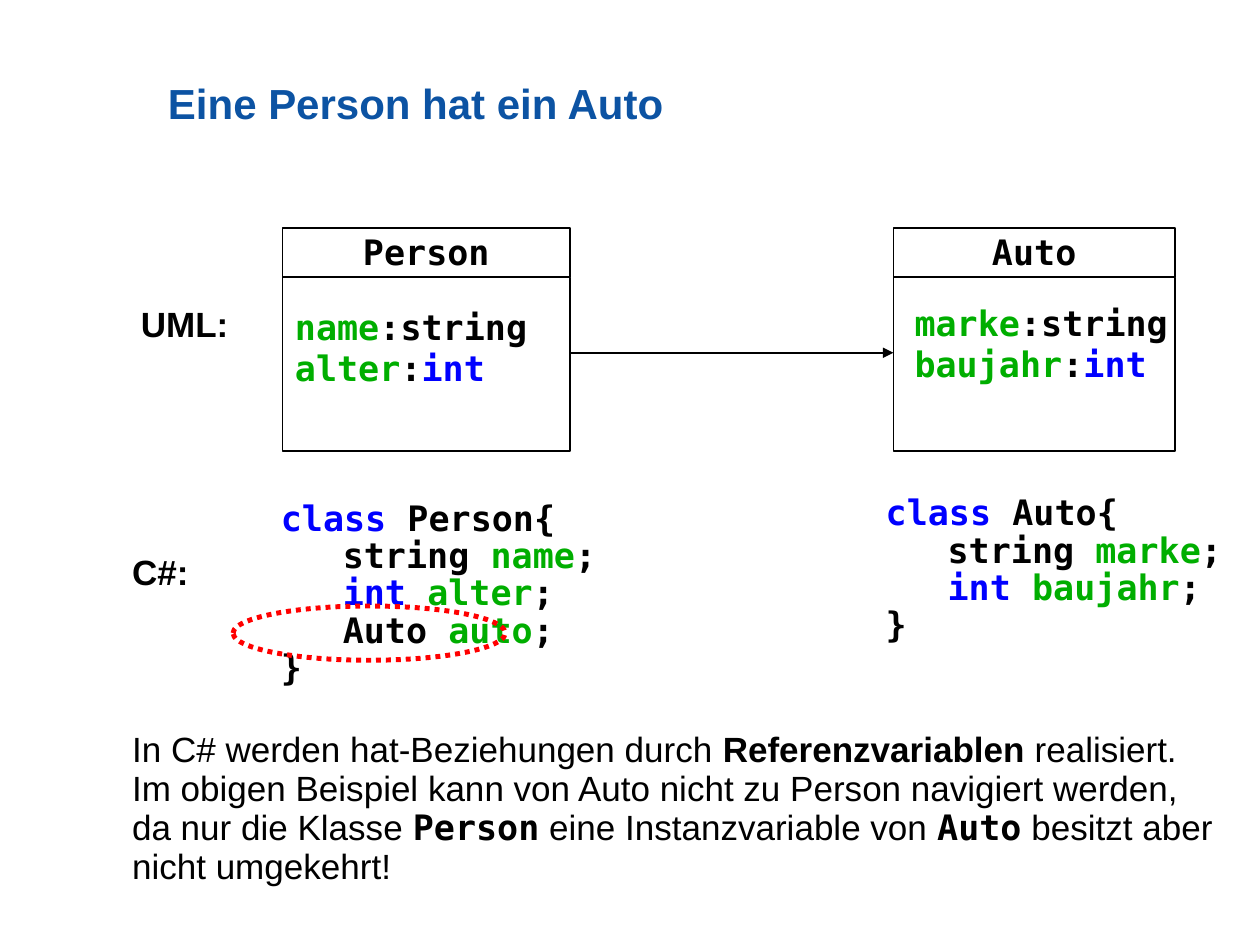
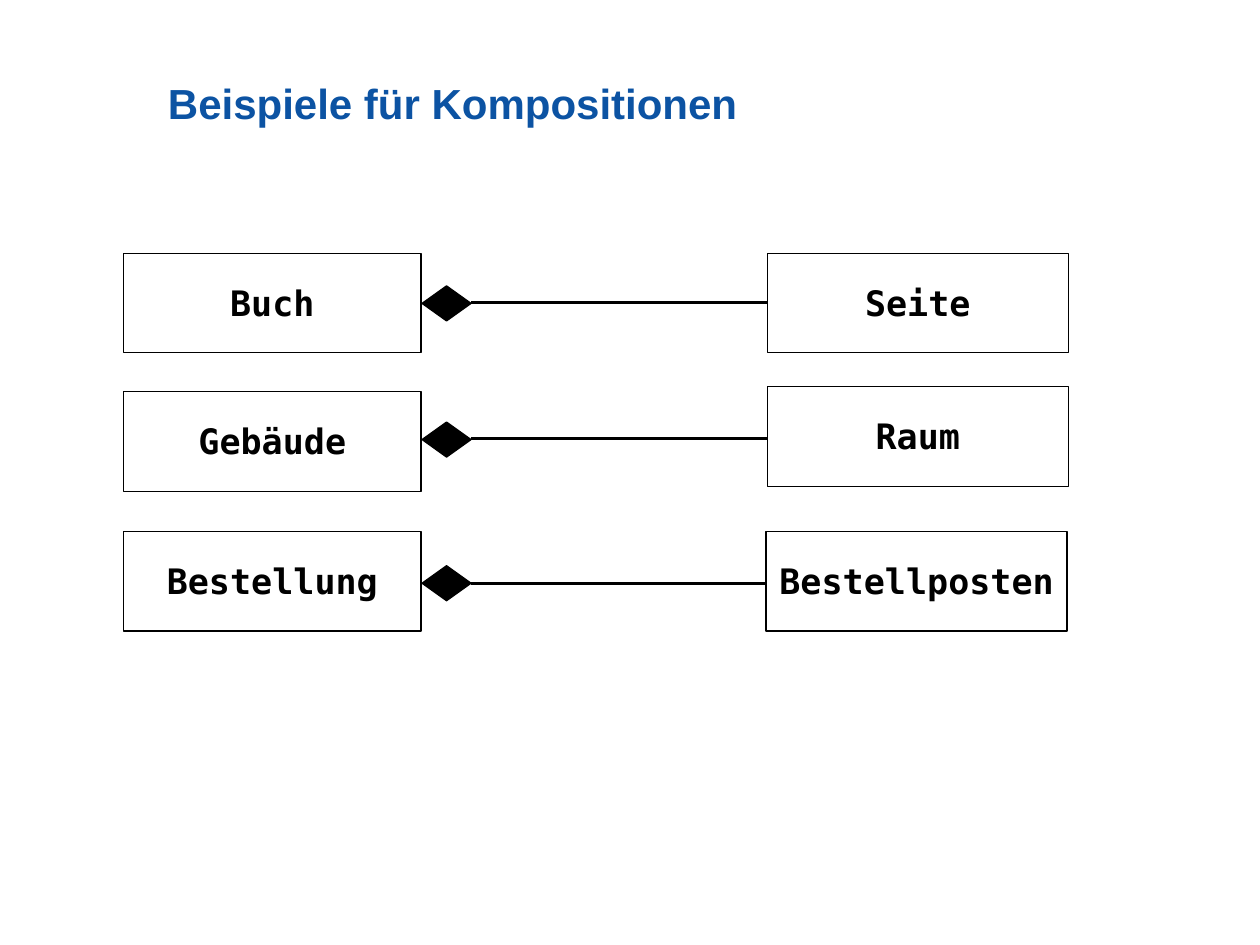
from lxml.etree import SubElement
from pptx import Presentation
from pptx.dml.color import RGBColor
from pptx.enum.dml import MSO_LINE
from pptx.enum.shapes import MSO_CONNECTOR, MSO_SHAPE
from pptx.enum.text import MSO_ANCHOR, PP_ALIGN
from pptx.oxml.ns import qn
from pptx.util import Pt

BLACK = RGBColor(0x00, 0x00, 0x00)
WHITE = RGBColor(0xFF, 0xFF, 0xFF)
TITLE_BLUE = RGBColor(0x0C, 0x53, 0xA3)
KEYWORD_BLUE = RGBColor(0x00, 0x00, 0xFF)
NAME_GREEN = RGBColor(0x00, 0xAE, 0x00)
RED = RGBColor(0xFF, 0x00, 0x00)

MONO = "DejaVu Sans Mono"
FORMATS = {
    "title": {"name": "Arial", "size": Pt(24), "bold": True, "color": TITLE_BLUE},
    "body": {"name": "Arial", "size": Pt(20), "bold": False, "color": BLACK},
    "strong": {"name": "Arial", "size": Pt(20), "bold": True, "color": BLACK},
    "code": {"name": MONO, "size": Pt(20), "bold": True, "color": BLACK},
    "keyword": {"name": MONO, "size": Pt(20), "bold": True, "color": KEYWORD_BLUE},
    "variable": {"name": MONO, "size": Pt(20), "bold": True, "color": NAME_GREEN},
}
CODE_FRAME = {"margin_left": Pt(7.2), "margin_right": Pt(7.2), "margin_top": Pt(5.6),
              "margin_bottom": Pt(3.6), "word_wrap": True, "vertical_anchor": MSO_ANCHOR.TOP}
BODY_FRAME = {**CODE_FRAME, "margin_top": Pt(5)}
NAME_FRAME = {**CODE_FRAME, "word_wrap": False, "vertical_anchor": MSO_ANCHOR.MIDDLE}
TITLE_FRAME = {"margin_left": 0, "margin_right": 0, "margin_top": 0, "margin_bottom": 0,
               "word_wrap": True, "vertical_anchor": MSO_ANCHOR.MIDDLE}
INDENT = Pt(35.4)


def write(box, lines, frame=CODE_FRAME, spacing=0.89, alignment=PP_ALIGN.LEFT):
    for key, value in frame.items():
        setattr(box.text_frame, key, value)
    for number, line in enumerate(lines):
        para = box.text_frame.paragraphs[0] if number == 0 else box.text_frame.add_paragraph()
        para.alignment = alignment
        para.line_spacing = spacing
        if line[0][0].startswith("\t"):
            tabs = SubElement(para._p.get_or_add_pPr(), qn("a:tabLst"))
            SubElement(tabs, qn("a:tab"), pos=str(INDENT), algn="l")
        for text, style in line:
            span = para.add_run()
            span.text = text
            for key, value in FORMATS[style].items():
                if key == "color":
                    span.font.color.rgb = value
                else:
                    setattr(span.font, key, value)


def draw(page, kind, left, top, width, height, fill=WHITE):
    shape = page.shapes.add_shape(kind, Pt(left), Pt(top), Pt(width), Pt(height))
    shape.shadow.inherit = False
    shape.fill.solid()
    shape.fill.fore_color.rgb = fill
    shape.line.color.rgb = BLACK
    shape.line.width = Pt(0.75)
    return shape


deck = Presentation()
deck.slide_width, deck.slide_height = Pt(720), Pt(540)
pages = []
for title in ("Eine Person hat ein Auto", "Beispiele für Kompositionen"):
    page = deck.slides.add_slide(deck.slide_layouts[6])
    box = page.shapes.add_textbox(Pt(96), Pt(24), Pt(612), Pt(72))
    write(box, [[(title, "title")]], TITLE_FRAME, 0.95)
    pages.append(page)
association_page, composition_page = pages

classes = [
    ("Person", 161.5, 164.3, 161.5, 172, 155.5, [("name", ":string"), ("alter", "int")]),
    ("Auto", 510.5, 161, 515.5, 169.7, 167, [("marke", ":string"), ("baujahr", "int")]),
]
for name, left, width, text_left, text_top, text_width, attributes in classes:
    heading = draw(association_page, MSO_SHAPE.RECTANGLE, left, 130.4, width, 28)
    write(heading, [[(name, "code")]], NAME_FRAME, alignment=PP_ALIGN.CENTER)
    draw(association_page, MSO_SHAPE.RECTANGLE, left, 158.4, width, 99.4)
    for row, (attribute, kind) in enumerate(attributes):
        box = association_page.shapes.add_textbox(
            Pt(text_left), Pt(text_top + row * 23.1), Pt(text_width), Pt(30.5))
        ending = [(":", "code"), (kind, "keyword")] if kind == "int" else [(kind, "code")]
        write(box, [[(attribute, "variable"), *ending]])

person_code = [
    [("class", "keyword"), (" Person{", "code")],
    [("\tstring ", "code"), ("name", "variable"), (";", "code")],
    [("\t", "code"), ("int ", "keyword"), ("alter", "variable"), (";", "code")],
    [("\tAuto ", "code"), ("auto", "variable"), (";", "code")],
    [("}", "code")],
]
auto_code = [
    [("class", "keyword"), (" Auto{", "code")],
    [("\tstring ", "code"), ("marke", "variable"), (";", "code")],
    [("\t", "code"), ("int ", "keyword"), ("baujahr", "variable"), (";", "code")],
    [("}", "code")],
]
explanation = [[
    ("In C# werden hat-Beziehungen durch ", "body"),
    ("Referenzvariablen", "strong"),
    (" realisiert. Im obigen Beispiel kann von Auto nicht zu Person navigiert werden, "
     "da nur die Klasse ", "body"),
    ("Person", "code"),
    (" eine Instanzvariable von ", "body"),
    ("Auto", "code"),
    (" besitzt aber nicht umgekehrt!", "body"),
]]
texts = [
    (153.4, 280.8, 201.6, 121.7, person_code, CODE_FRAME, 0.89),
    (499, 277.7, 212.4, 98.6, auto_code, CODE_FRAME, 0.89),
    (73.4, 170, 70.6, 29.5, [[("UML:", "strong")]], BODY_FRAME, 0.93),
    (68.4, 311.8, 70.6, 29.5, [[("C#:", "strong")]], BODY_FRAME, 0.93),
    (68.4, 412.6, 638, 98.6, explanation, BODY_FRAME, 0.93),
]
for left, top, width, height, lines, frame, spacing in texts:
    box = association_page.shapes.add_textbox(Pt(left), Pt(top), Pt(width), Pt(height))
    write(box, lines, frame, spacing)

highlight = draw(association_page, MSO_SHAPE.OVAL, 133.2, 346.3, 155.5, 31)
highlight.fill.background()
highlight.line.color.rgb = RED
highlight.line.width = Pt(2.83)
highlight.line.dash_style = MSO_LINE.ROUND_DOT

compositions = [
    ("Buch", 144.7, "Seite", 438.5, 144.7, 163.4, 172.8),
    ("Gebäude", 223.9, "Raum", 438.5, 221, 241.2, 250.6),
    ("Bestellung", 303.8, "Bestellposten", 437.8, 303.8, 323.3, 333.4),
]
links = [(association_page, 326, 510.5, 201.6, True)]
for whole, whole_top, part, part_left, part_top, diamond_top, link_top in compositions:
    for name, left, top, width in ((whole, 70.6, whole_top, 170), (part, part_left, part_top, 172)):
        box = draw(composition_page, MSO_SHAPE.RECTANGLE, left, top, width, 56.9)
        write(box, [[(name, "code")]], NAME_FRAME, alignment=PP_ALIGN.CENTER)
    draw(composition_page, MSO_SHAPE.DIAMOND, 241.2, diamond_top, 28, 20, BLACK)
    links.append((composition_page, 269, part_left, link_top, False))

for page, start, end, height, arrow in links:
    link = page.shapes.add_connector(
        MSO_CONNECTOR.STRAIGHT, Pt(start), Pt(height), Pt(end), Pt(height))
    link.line.color.rgb = BLACK
    link.line.width = Pt(1.42)
    if arrow:
        SubElement(link.line._get_or_add_ln(), qn("a:tailEnd"), type="triangle")
    SubElement(link._element.spPr, qn("a:effectLst"))

deck.save("out.pptx")
